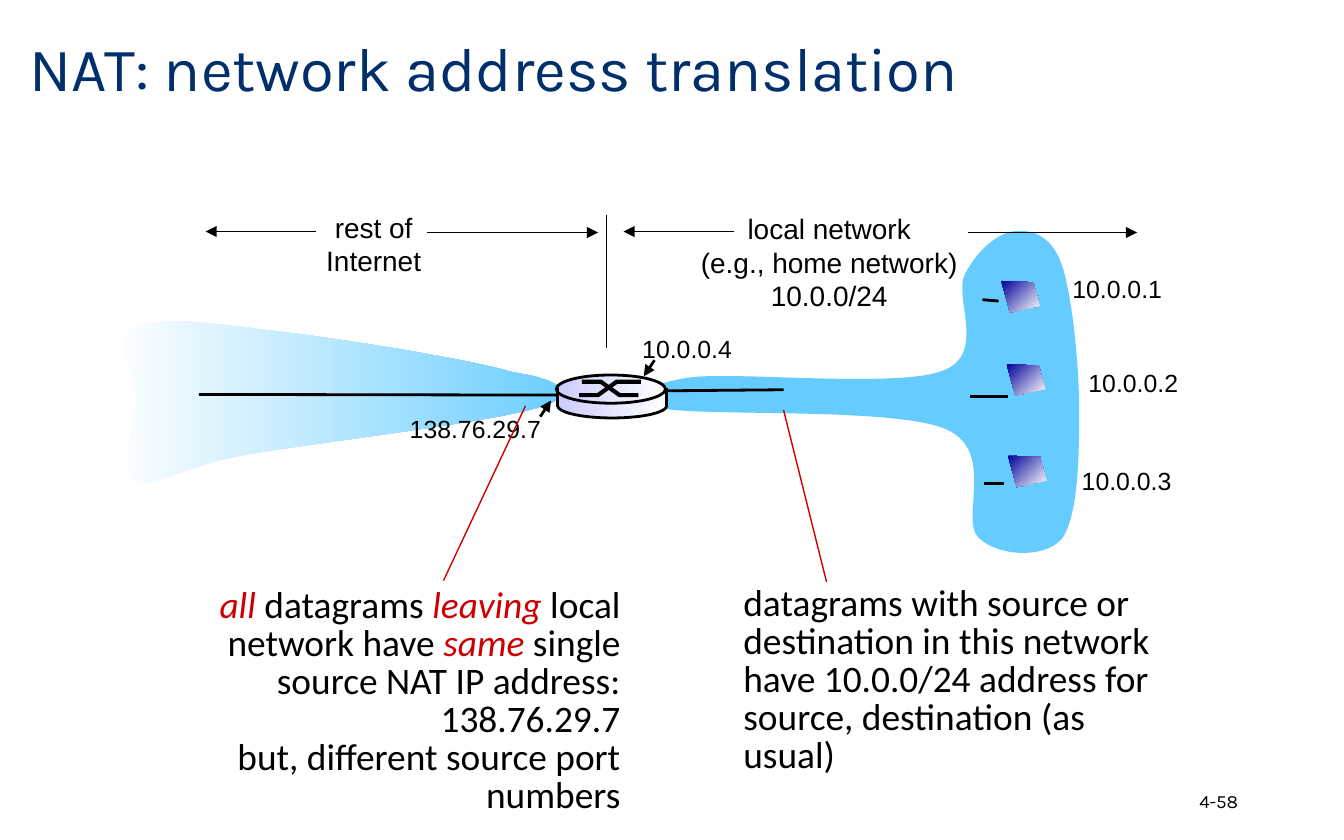
from dataclasses import dataclass
from typing import Any, NamedTuple

from lxml import etree
from pptx import Presentation
from pptx import util as u
from pptx.dml.color import RGBColor
from pptx.enum import shapes, text
from pptx.oxml.ns import qn

COLUMNS = 100
WIDTH, HEIGHT = u.Inches(10), u.Inches(6.25)
CELL = WIDTH / COLUMNS


@dataclass(frozen=True)
class Theme:
    ink: str = "000000"
    navy: str = "002F6C"
    red: str = "CC0000"
    sky: str = "66CCFF"
    white: str = "FFFFFF"
    lilac: str = "CCCCFF"
    screen: str = "000099"
    heading: str = "Karla"
    body: str = "Calibri"
    diagram: str = "Arial"
    title_size: float = 33
    body_size: float = 20
    caption_size: float = 15
    address_size: float = 13.3
    number_size: float = 10
    thin: float = 0.75
    medium: float = 1.5
    thick: float = 2.25


THEME = Theme()


class Point(NamedTuple):
    col: float
    row: float


class Area(NamedTuple):
    col: float
    row: float
    cols: float
    rows: float


class Gradient(NamedTuple):
    first: str
    last: str
    angle: float = 0


class Run(NamedTuple):
    words: str
    emphasis: bool = False


@dataclass(frozen=True)
class Label:
    area: Area
    lines: list[list[Run]]
    size: float
    font: str = THEME.diagram
    color: str = THEME.ink
    align: Any = text.PP_ALIGN.LEFT
    anchor: Any = text.MSO_ANCHOR.TOP
    spacing: float = 1.0
    wrap: bool = False


@dataclass(frozen=True)
class Rule:
    start: Point
    end: Point
    weight: float = THEME.medium
    color: str = THEME.ink
    arrow: bool = False


def cells(*counts: float) -> list[int]:
    return [round(count * CELL) for count in counts]


def plain(*lines: str) -> list[list[Run]]:
    return [[Run(line)] for line in lines]


def paint(shape: Any, fill: Gradient | str | None, weight: float = 0) -> None:
    shape.shadow.inherit = False
    if isinstance(fill, Gradient):
        shape.fill.gradient()
        for stop, color in zip(shape.fill.gradient_stops, (fill.first, fill.last)):
            stop.color.rgb = RGBColor.from_string(color)
        shape.fill.gradient_angle = -fill.angle % 360
    elif fill:
        shape.fill.solid()
        shape.fill.fore_color.rgb = RGBColor.from_string(fill)
    else:
        shape.fill.background()
    if weight:
        shape.line.color.rgb = RGBColor.from_string(THEME.ink)
        shape.line.width = u.Pt(weight)
    else:
        shape.line.fill.background()


def draw_outline(canvas: Any, points: list[Point], fill: Gradient | str | None,
                 weight: float = 0) -> Any:
    first, *rest = [tuple(cells(*point)) for point in points]
    builder = canvas.build_freeform(*first)
    builder.add_line_segments(rest, close=fill is not None)
    outline = builder.convert_to_shape()
    paint(outline, fill, weight)
    return outline


def draw_cloud(canvas: Any, start: Point, curves: list[tuple[float, ...]],
               fill: Gradient | str) -> None:
    points = [Point(*curve[i:i + 2]) for curve in curves for i in (0, 2, 4)]
    cloud = draw_outline(canvas, [start, *points], fill)
    segments = list(cloud._element.iter(qn("a:lnTo")))
    for i in range(0, len(segments), 3):
        bend = etree.Element(qn("a:cubicBezTo"))
        segments[i].addprevious(bend)
        for segment in segments[i:i + 3]:
            bend.append(segment[0])
            segment.getparent().remove(segment)


def draw_preset(canvas: Any, preset: Any, area: Area, fill: Gradient, weight: float = 0) -> None:
    paint(canvas.add_shape(preset, *cells(*area)), fill, weight)


def draw_rule(canvas: Any, rule: Rule) -> None:
    connector = canvas.add_connector(shapes.MSO_CONNECTOR.STRAIGHT,
                                     *cells(*rule.start, *rule.end))
    connector.line.color.rgb = RGBColor.from_string(rule.color)
    connector.line.width = u.Pt(rule.weight)
    if rule.arrow:
        etree.SubElement(connector.line._get_or_add_ln(), qn("a:tailEnd"), type="triangle")
    etree.SubElement(connector._element.spPr, qn("a:effectLst"))


def draw_label(canvas: Any, label: Label) -> None:
    frame = canvas.add_textbox(*cells(*label.area)).text_frame
    frame.word_wrap = label.wrap
    frame.vertical_anchor = label.anchor
    for index, line in enumerate(label.lines):
        paragraph = frame.paragraphs[0] if index == 0 else frame.add_paragraph()
        paragraph.alignment = label.align
        paragraph.line_spacing = label.spacing
        for piece in line:
            if piece.words == "\n":
                paragraph.add_line_break()
                continue
            run = paragraph.add_run()
            run.text = piece.words
            run.font.name, run.font.size = label.font, u.Pt(label.size)
            run.font.italic = piece.emphasis
            run.font.color.rgb = RGBColor.from_string(
                THEME.red if piece.emphasis else label.color)


LOCAL_START = Point(51.2, 28.1)
LOCAL_CURVES = [
    (54.7, 27.6, 66.6, 28.9, 70.1, 27.6), (73.5, 26.4, 70.9, 22.1, 71.8, 20.4),
    (72.7, 18.6, 74.3, 17.3, 75.5, 17.2), (76.7, 17.1, 78.2, 17.4, 79, 19.7),
    (79.8, 22, 80.3, 27.3, 80.3, 30.7), (80.3, 34.1, 80.2, 38.5, 79, 40.1),
    (77.7, 41.6, 74.2, 41.4, 72.8, 40), (71.4, 38.6, 74.2, 33.5, 70.3, 31.9),
    (66.4, 30.3, 52.5, 31, 49.4, 30.4), (46.2, 29.8, 48, 28.6, 51.2, 28.1)]
INTERNET_START = Point(38.1, 27.7)
INTERNET_CURVES = [
    (34.8, 26.7, 24.7, 25.1, 20.1, 24.6), (15.4, 24, 11.7, 23.5, 10, 24.4),
    (8.3, 25.2, 10.1, 27.9, 10.1, 29.8), (10.1, 31.7, 8.7, 35.1, 10, 35.8),
    (11.3, 36.5, 12.9, 34.9, 17.9, 33.9), (22.9, 33, 36.7, 31.4, 40.1, 30.3),
    (43.4, 29.3, 41.5, 28.2, 38.1, 27.7)]
MONITOR = [Point(0, 0), Point(2.4, 0.1), Point(2.85, 1.85), Point(0.65, 2.35)]
MONITOR_CORNERS = [Point(74.5, 20.9), Point(74.9, 27.1), Point(75, 33.9)]

LINKS = [
    Rule(Point(47.2, 29.1), Point(58.3, 29)), Rule(Point(14.8, 29.35), Point(42.3, 29.4)),
    Rule(Point(73.1, 22.3), Point(74.3, 22.4)), Rule(Point(72.2, 29.5), Point(75, 29.5)),
    Rule(Point(73.2, 36), Point(74.7, 36)),
    Rule(Point(48.7, 26.8), Point(47.9, 28), arrow=True),
    Rule(Point(40.2, 31), Point(41, 29.8), arrow=True)]
EXTENTS = [Rule(Point(45.12, 16), Point(45.12, 25.9), THEME.thin)] + [
    Rule(Point(start, row), Point(end, row), THEME.thin, arrow=True)
    for start, end, row in ((72, 84.6, 17.3), (54.6, 46.4, 17.23),
                            (31.8, 44.5, 17.3), (23.5, 15.3, 17.23))]
CALLOUTS = [Rule(Point(61.5, 43.3), Point(58.3, 30.5), THEME.thin, THEME.red),
            Rule(Point(33, 43.2), Point(39.1, 30.2), THEME.thin, THEME.red)]

ADDRESSES = [
    Label(Area(col, row, cols, 3.3), plain(address), THEME.address_size)
    for address, col, row, cols in (
        ("10.0.0.1", 78.8, 19.85, 8.8), ("10.0.0.2", 80, 26.85, 8.8),
        ("10.0.0.3", 79.5, 34.15, 8.8), ("10.0.0.4", 46.8, 24.35, 8.8),
        ("138.76.29.7", 29.5, 30.3, 11.9))]
CAPTIONS = [
    Label(Area(51.05, 15.25, 21.3, 8.6),
          plain("local network", "(e.g., home network)", "10.0.0/24"),
          THEME.caption_size, align=text.PP_ALIGN.CENTER),
    Label(Area(23.2, 15.15, 9.2, 6.1), plain("rest of", "Internet"),
          THEME.caption_size, align=text.PP_ALIGN.CENTER)]
EXPLANATIONS = [
    Label(Area(54.33, 43.1, 34.7, 12.5),
          plain("datagrams with source or", "destination in this network",
                "have 10.0.0/24 address for", "source, destination (as usual)"),
          THEME.body_size, THEME.body, spacing=0.85, wrap=True),
    Label(Area(8.36, 43.25, 38.8, 18.2),
          [[Run("all ", True), Run("datagrams "), Run("leaving", True), Run(" local")],
           [Run("network have "), Run("same", True),
            Run(" single source NAT IP address: 138.76.29.7"), Run("\n"),
            Run("but, different source port numbers")]],
          THEME.body_size, THEME.body, align=text.PP_ALIGN.RIGHT, spacing=0.85, wrap=True)]
TITLE = Label(Area(1.2, 1, 85.2, 8.6), plain("NAT: network address translation"),
              THEME.title_size, THEME.heading, THEME.navy,
              anchor=text.MSO_ANCHOR.MIDDLE, spacing=0.9, wrap=True)
NUMBER = Label(Area(70.6, 57.95, 22.5, 3.3), plain("4-58"), THEME.number_size, THEME.heading,
               align=text.PP_ALIGN.RIGHT, anchor=text.MSO_ANCHOR.MIDDLE, wrap=True)


def draw_router(canvas: Any) -> None:
    metal = Gradient(THEME.lilac, THEME.white)
    oval = shapes.MSO_SHAPE.OVAL
    draw_preset(canvas, oval, Area(41.5, 29.3, 8.1, 1.8), metal, THEME.medium)
    draw_preset(canvas, shapes.MSO_SHAPE.RECTANGLE, Area(41.5, 29.1, 8.2, 1.1), metal)
    draw_preset(canvas, oval, Area(41.4, 27.9, 8.1, 2.1), metal, THEME.medium)
    for left, right, begin, finish in ((43.1, 47.7, 29.4, 28.4), (43.3, 47.5, 28.4, 29.4)):
        strand = [Point(left, begin), Point(left + 1.4, begin),
                  Point(left + 2.8, finish), Point(right, finish)]
        draw_outline(canvas, strand, None, THEME.thick)
    for side in (41.5, 49.6):
        draw_rule(canvas, Rule(Point(side, 28.9), Point(side, 30.3)))


def main() -> None:
    deck = Presentation()
    deck.slide_width, deck.slide_height = WIDTH, HEIGHT
    canvas = deck.slides.add_slide(deck.slide_layouts[6]).shapes
    draw_cloud(canvas, LOCAL_START, LOCAL_CURVES, THEME.sky)
    draw_cloud(canvas, INTERNET_START, INTERNET_CURVES, Gradient(THEME.white, THEME.sky))
    for label in [TITLE, NUMBER, *ADDRESSES, *CAPTIONS, *EXPLANATIONS]:
        draw_label(canvas, label)
    for rule in LINKS + EXTENTS + CALLOUTS:
        draw_rule(canvas, rule)
    draw_router(canvas.add_group_shape().shapes)
    for corner in MONITOR_CORNERS:
        outline = [Point(corner.col + p.col, corner.row + p.row) for p in MONITOR]
        draw_outline(canvas, outline, Gradient(THEME.screen, THEME.white, 45))
    deck.save("out.pptx")


if __name__ == "__main__":
    main()
